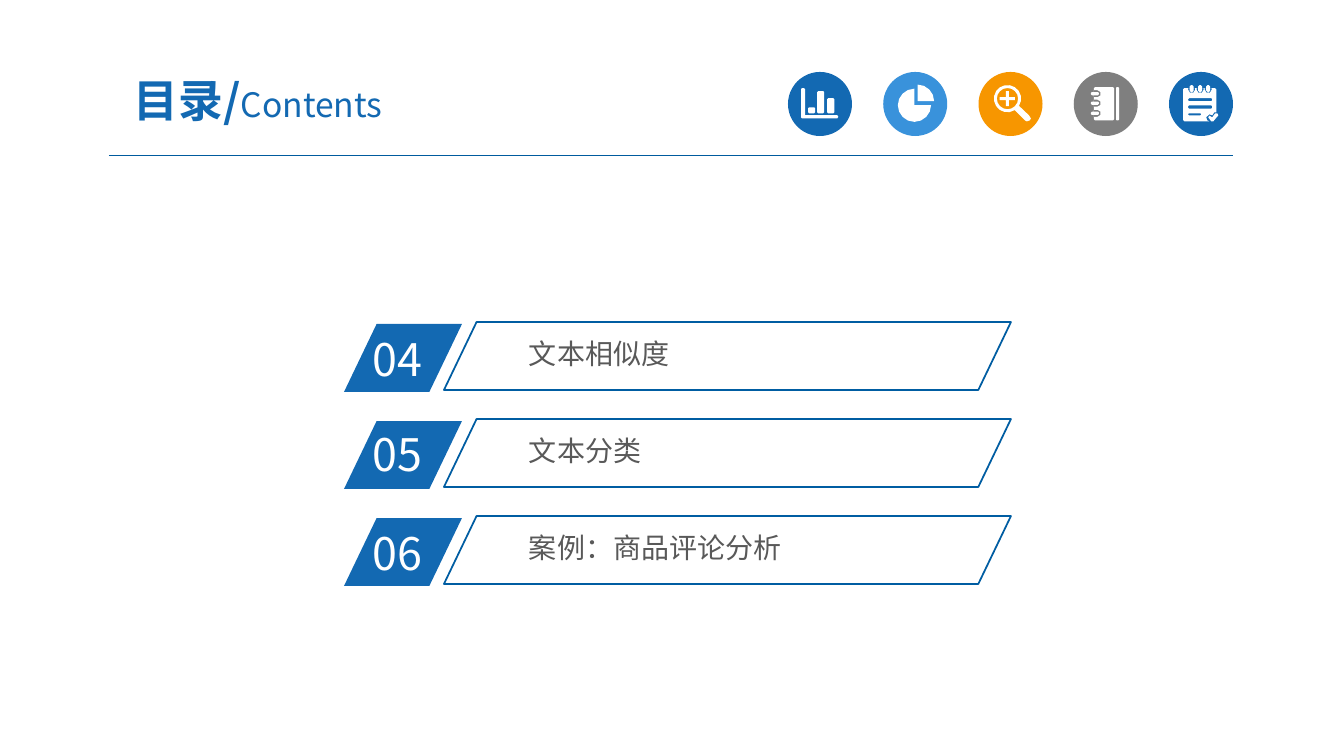
from math import cos, radians, sin

from lxml import etree
from pptx import Presentation
from pptx.dml.color import RGBColor
from pptx.enum.shapes import MSO_CONNECTOR, MSO_SHAPE
from pptx.enum.text import MSO_ANCHOR, PP_ALIGN
from pptx.oxml.ns import qn
from pptx.util import Pt

PX = 12192000 / 1344
FONT = "Noto Sans CJK SC"
BLUE = "1369B2"
WHITE = "FFFFFF"
STRAIGHT = MSO_CONNECTOR.STRAIGHT
ELLIPSE = MSO_SHAPE.OVAL
PARALLELOGRAM = MSO_SHAPE.PARALLELOGRAM
MIDDLE = MSO_ANCHOR.MIDDLE
CENTER = PP_ALIGN.CENTER
LEFT = PP_ALIGN.LEFT


def px(length):
    return round(length * PX)


def color(value):
    return RGBColor.from_string(value)


def paint(shape, fill=None, line=None, width=1):
    shape.shadow.inherit = False
    if fill:
        shape.fill.solid()
        shape.fill.fore_color.rgb = color(fill)
    else:
        shape.fill.background()
    if line:
        shape.line.color.rgb = color(line)
        shape.line.width = Pt(width)
    else:
        shape.line.fill.background()


def style_paragraph(paragraph, size, text_color, align=LEFT):
    paragraph.alignment = align
    paragraph.space_before = Pt(0)
    font = paragraph.font
    font.name = FONT
    font.size = Pt(size)
    font.color.rgb = color(text_color)
    defaults = paragraph._p.pPr.find(qn("a:defRPr"))
    etree.SubElement(defaults, qn("a:ea")).set("typeface", FONT)


def set_frame(frame, inset_x, inset_y):
    frame.word_wrap = True
    frame.vertical_anchor = MIDDLE
    frame.margin_left = frame.margin_right = px(inset_x)
    frame.margin_top = frame.margin_bottom = px(inset_y)


def add_text(shapes, text, box, size, text_color, inset_x, inset_y):
    frame = shapes.add_textbox(*map(px, box)).text_frame
    set_frame(frame, inset_x, inset_y)
    frame.text = text
    style_paragraph(frame.paragraphs[0], size, text_color)


def arc(x, y, radius, start, end):
    steps = round((end - start) / (22 if radius > 50 else 60))
    angles = [radians(start + (end - start) * i / steps) for i in range(steps + 1)]
    return [(round(x + radius * cos(a)), round(y + radius * sin(a))) for a in angles]


def beveled(left, top, width, height, bevel):
    right, bottom = left + width, top + height
    return [(left, top + bevel), (left + bevel, top), (right - bevel, top),
            (right, top + bevel), (right, bottom - bevel), (right - bevel, bottom),
            (left + bevel, bottom), (left, bottom - bevel)]


def bar_chart_glyph():
    axes = [(131, 171), (141, 161), (161, 161), (171, 171), (171, 433), (494, 433),
            (504, 448), (494, 464), (141, 464), (131, 454)]
    bars = [(202, 60), (292, 221), (393, 151)]
    return [axes] + [beveled(x, 413 - height, 71, height, 10) for x, height in bars]


def pie_glyph():
    return [arc(312, 333, 166, 0, 270) + [(312, 333)],
            arc(343, 292, 166, -90, 0) + [(343, 292)]]


def magnifier_glyph():
    handle = [(504, 433), (524, 464), (514, 484), (484, 494), (464, 484)]
    plus = [(273, 192), (303, 192), (303, 252), (363, 252), (363, 282), (303, 282),
            (303, 343), (273, 343), (273, 282), (212, 282), (212, 252), (273, 252)]
    return [arc(290, 267, 136, 58, 392) + handle, arc(290, 267, 106, 0, 360), plus]


def notebook_glyph():
    contours = [beveled(202, 151, 201, 333, 10), beveled(423, 151, 30, 333, 8)]
    for y in (217, 312, 413):
        contours.append(arc(237, y, 35, -90, 90) + [(202, y + 35), (202, y - 35)])
        contours.append(beveled(171, y - 16, 81, 32, 10))
    return contours


def notepad_glyph():
    page = [(141, 175), (155, 161), (460, 161), (474, 175), (474, 403), (453, 403),
            (433, 433), (403, 423), (373, 453), (383, 484), (403, 494), (155, 494),
            (141, 480)]
    check = [(393, 454), (403, 437), (433, 453), (463, 413), (484, 413), (494, 433),
             (443, 494), (423, 494)]
    contours = [page, check, beveled(192, 262, 241, 30, 10),
                beveled(192, 333, 241, 34, 10), beveled(192, 413, 131, 20, 8)]
    for x in (227, 312, 393):
        contours.append([(x - 35, 161), (x + 35, 161)] + arc(x, 177, 35, 0, 180))
        contours.append(beveled(x - 20, 131, 40, 70, 14))
    return contours


def add_icon(slide, left, top, diameter, fill, contours):
    shapes = slide.shapes.add_group_shape().shapes
    paint(shapes.add_shape(ELLIPSE, *map(px, (left, top, diameter, diameter))), fill)
    builder = shapes.build_freeform(*contours[0][0], scale=px(diameter) / 640)
    for index, contour in enumerate(contours):
        if index:
            builder.move_to(*contour[0])
        builder.add_line_segments(contour[1:], close=True)
    paint(builder.convert_to_shape(px(left), px(top)), WHITE)


def add_header(slide, left, top, right, bottom):
    rule = slide.shapes.add_connector(STRAIGHT, *map(px, (left, bottom, right, bottom)))
    rule.line.color.rgb = color("005B9E")
    rule.line.width = Pt(0.75)
    etree.SubElement(rule._element.spPr, qn("a:effectLst"))

    icons = [(BLUE, bar_chart_glyph), ("3992DB", pie_glyph), ("F79600", magnifier_glyph),
             ("7F7F7F", notebook_glyph), (BLUE, notepad_glyph)]
    diameter, span = 64, 381
    first = right - diameter - span
    for index, (fill, glyph) in enumerate(icons):
        icon_left = first + index * span / (len(icons) - 1)
        add_icon(slide, icon_left, top + 9, diameter, fill, glyph())

    title = slide.shapes.title
    title.left, title.top, title.width, title.height = map(px, (left - 17, top, 332, 73))
    set_frame(title.text_frame, 13, 7)
    paragraph = title.text_frame.paragraphs[0]
    style_paragraph(paragraph, 32, BLUE, CENTER)
    for text, size, bold in (("目录/", 32, True), ("Contents", 24, False)):
        run = paragraph.add_run()
        run.text = text
        run.font.size = Pt(size)
        run.font.bold = bold


def add_agenda_row(slide, left, top, number, number_drop, topic):
    shapes = slide.shapes.add_group_shape().shapes

    def add_slanted(box, fill=None, line=None):
        shape = shapes.add_shape(PARALLELOGRAM, *map(px, box))
        shape.adjustments[0] = 0.48
        paint(shape, fill, line, 1.25)

    add_slanted((left, top + 2, 118, 68), fill=BLUE)
    add_text(shapes, number, (left + 19, top + number_drop, 113, 65), 32, WHITE, 10, 5)
    add_text(shapes, topic, (left + 178, top + 11, 415, 41), 20, "595959", 7, 4)
    add_slanted((left + 100, top, 567, 68), line="005DA2")


def add_agenda(slide, left, top):
    rows = [("04", 4, "文本相似度"), ("05", 2, "文本分类"), ("06", 4, "案例：商品评论分析")]
    for index, row in enumerate(rows):
        add_agenda_row(slide, left, top + index * 97, *row)


def main():
    presentation = Presentation()
    presentation.slide_width, presentation.slide_height = px(1344), px(756)
    slide = presentation.slides.add_slide(presentation.slide_layouts[5])
    add_header(slide, 109, 63, 1233, 156)
    add_agenda(slide, 344, 322)
    presentation.save("out.pptx")


if __name__ == "__main__":
    main()
